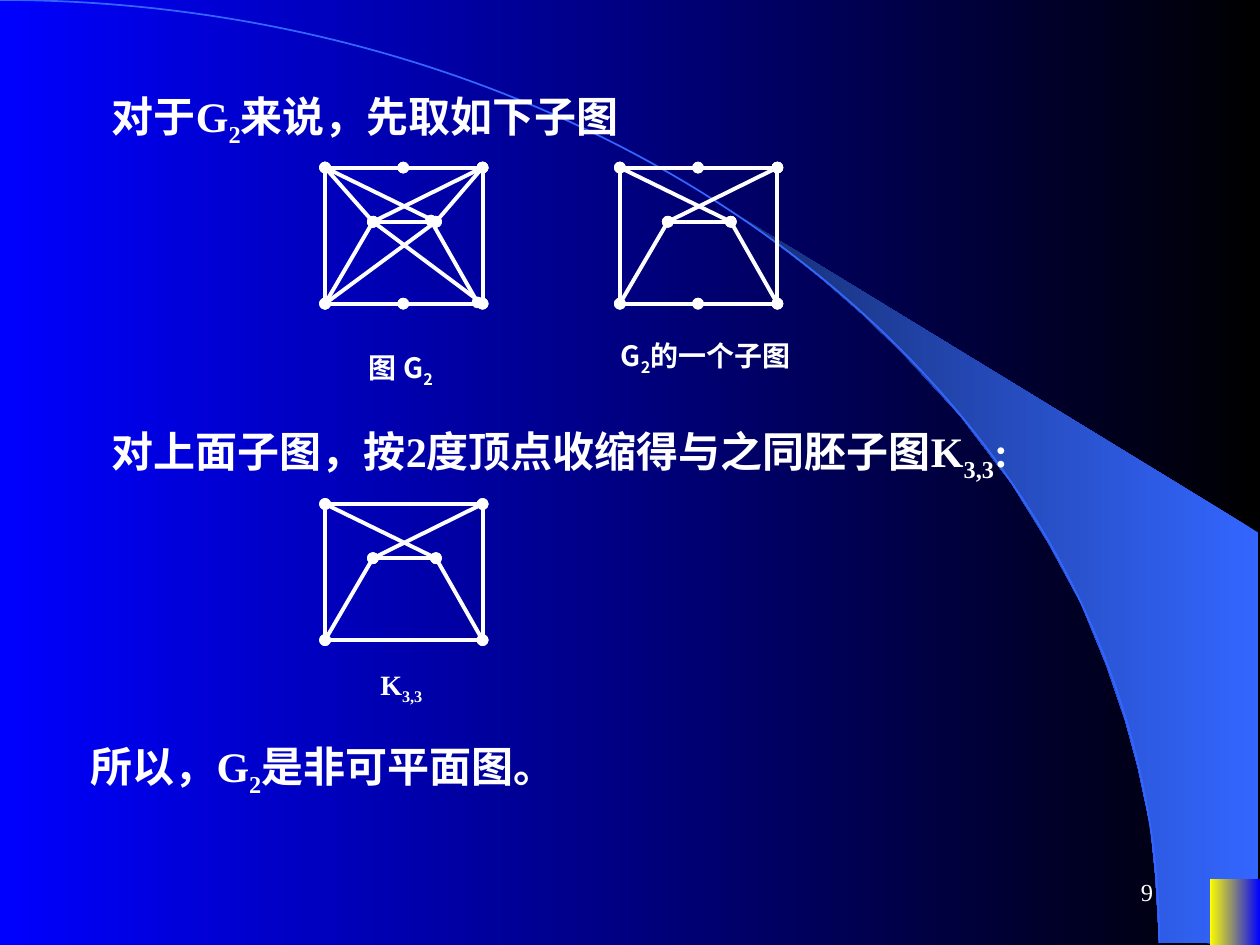
from lxml.etree import SubElement
from pptx import Presentation
from pptx.dml.color import RGBColor
from pptx.enum.shapes import MSO_CONNECTOR, MSO_SHAPE
from pptx.enum.text import MSO_ANCHOR, PP_ALIGN
from pptx.oxml.ns import qn
from pptx.util import Inches, Pt

SERIF, SANS = "Times New Roman", "Noto Sans CJK SC"
WHITE, BLUE = "FFFFFF", "3366FF"

# Sentences: left, top, runs; a run starting with "_" is a subscript
SENTENCES = [
    (0.42, 0.67, ["对于G", "_2", "来说，先取如下子图"]),
    (0.42, 3.33, ["对上面子图，按2度顶点收缩得与之同胚子图K", "_3,3", ":"]),
    (0.25, 5.83, ["所以，G", "_2", "是非可平面图。"]),
]

# Vertices as offsets from a graph's top left corner
VERTICES = {
    "a": (0, 0), "m": (0.62, 0), "b": (1.25, 0),
    "c": (0.38, 0.43), "d": (0.88, 0.43),
    "e": (0, 1.08), "n": (0.62, 1.08), "f": (1.25, 1.08),
    "s": (0.84, 0.42), "t": (1.21, 1.07),
}
CORE = "ae bf cd ad cb ce"
SUBDIVIDED = CORE + " am mb en nf"

# Graphs: origin, edges, label box, label runs, label font, label alignment
GRAPHS = [
    ((4.92, 1.33), SUBDIVIDED + " df", (4.83, 2.64, 1.67, 0.42),
     ["G", "_2", "的一个子图"], SANS, PP_ALIGN.JUSTIFY),
    ((2.58, 4), CORE + " df ab ef", (2.92, 5.25, 0.83, 0.41),
     ["K", "_3,3"], SERIF, PP_ALIGN.LEFT),
    ((2.58, 1.33), SUBDIVIDED + " st ac bd cf de", (2.83, 2.73, 0.75, 0.42),
     ["图 G", "_2"], SANS, PP_ALIGN.JUSTIFY),
]

SWOOSH = [
    (9.2, 7.48), (9.99, 7.49), (9.99, 4.23), (5.89, 1.73), (6.24, 1.99),
    (6.53, 2.22), (6.85, 2.5), (7.16, 2.8), (7.62, 3.3), (8.03, 3.84),
    (8.32, 4.31), (8.58, 4.79), (8.78, 5.28), (8.93, 5.72), (9.03, 6.09),
    (9.13, 6.56), (9.17, 6.96),
]


def rgb(value):
    return RGBColor.from_string(value)


def inches(values):
    return [Inches(v) for v in values]


def set_gradient(fill, right, left):
    fill.gradient()
    fill.gradient_angle = 180
    for stop, position, color in zip(fill.gradient_stops, (0, 1), (right, left)):
        stop.position = position
        stop.color.rgb = rgb(color)


def add_text(shapes, box, runs, size, font=SERIF, bold=True, align=PP_ALIGN.LEFT):
    tf = shapes.add_textbox(*inches(box)).text_frame
    tf.word_wrap = True
    p = tf.paragraphs[0]
    p.alignment = align
    for text in runs:
        r = p.add_run()
        r.text = text.lstrip("_")
        r.font.size, r.font.bold, r.font.name = Pt(size), bold, font
        r.font.color.rgb = rgb(WHITE)
        rpr = r.font._element
        SubElement(rpr, qn("a:ea")).set("typeface", SANS)
        if text.startswith("_"):
            rpr.set("baseline", "-25000")
    return tf


def add_edge(shapes, start, end):
    edge = shapes.add_connector(MSO_CONNECTOR.STRAIGHT, *inches(start + end))
    edge.line.color.rgb = rgb(WHITE)
    edge.line.width = Pt(2.24)
    ln = edge.line._get_or_add_ln()
    for tag in ("a:headEnd", "a:tailEnd"):
        SubElement(ln, qn(tag)).set("type", "oval")
    SubElement(edge._element.spPr, qn("a:effectLst"))


prs = Presentation()
prs.slide_width, prs.slide_height = inches((10, 7.5))
slide = prs.slides.add_slide(prs.slide_layouts[6])
shapes = slide.shapes

# Background and decoration
set_gradient(slide.background.fill, "000000", "0000FF")
builder = shapes.build_freeform(*inches(SWOOSH[0]))
builder.add_line_segments([inches(pt) for pt in SWOOSH[1:]], close=True)
swoosh = builder.convert_to_shape()
corner = shapes.add_shape(MSO_SHAPE.RECTANGLE, *inches((9.6, 6.98, 0.4, 0.52)))
for sp, right, left in ((swoosh, BLUE, "172F75"), (corner, "0000FF", "FFFF00")):
    set_gradient(sp.fill, right, left)
    sp.line.fill.background()
    sp.shadow.inherit = False
arc = shapes.add_shape(MSO_SHAPE.ARC, *inches((-9.2, 0, 18.4, 14.97)))
arc.fill.background()
arc.line.color.rgb = rgb(BLUE)
arc.line.width = Pt(1)
arc.shadow.inherit = False

# Sentences
for left, top, runs in SENTENCES:
    p = add_text(shapes, (left, top, 8.25, 0.56), runs, 24).paragraphs[0]
    p.space_before = Pt(15)
    p._p.get_or_add_pPr().set("marL", str(Inches(0.37)))

# Graphs with their labels
for (x, y), edges, box, runs, font, align in GRAPHS:
    group = shapes.add_group_shape().shapes
    for edge in edges.split():
        start, end = [(x + VERTICES[v][0], y + VERTICES[v][1]) for v in edge]
        add_edge(group, start, end)
    add_text(group, box, runs, 16, font, align=align)

# Page number
tf = add_text(shapes, (7.17, 6.83, 2.08, 0.5), ["9"], 14, bold=False,
              align=PP_ALIGN.RIGHT)
tf.vertical_anchor = MSO_ANCHOR.MIDDLE

prs.save("out.pptx")
